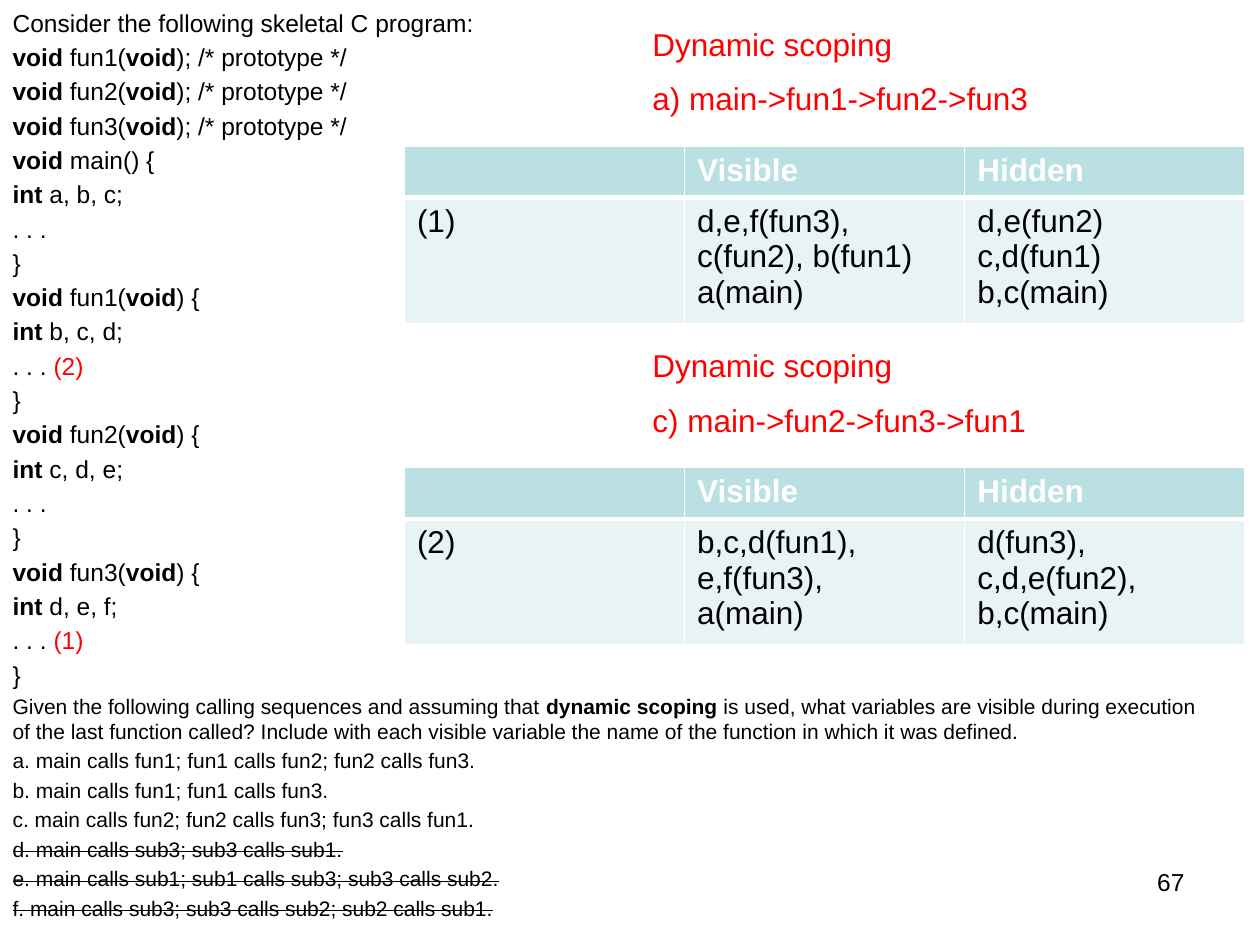
"""Build the slide on dynamic scoping in a skeletal C program."""
from dataclasses import dataclass
from typing import NamedTuple

from lxml.etree import SubElement
from pptx import Presentation
from pptx.dml.color import RGBColor
from pptx.enum.text import MSO_AUTO_SIZE as AutoSize, MSO_ANCHOR as Anchor, PP_ALIGN as Align
from pptx.oxml.ns import qn
from pptx.util import Inches, Pt

BLACK, RED, WHITE = "000000", "FF0000", "FFFFFF"
HEADER_FILL, BODY_FILL = "BBE0E3", "E7F3F4"
CODE_SIZE, QUESTION_SIZE, ANSWER_SIZE = 14, 12, 18
ANSWER_TOP, ANSWER_STEP = 0.15, 2.55
CAPTION_LEFT, CAPTION_STEP, TABLE_OFFSET = 5.08, 0.43, 1.01
TABLE_LEFT, TABLE_WIDTH, ROW_HEIGHTS = 3.21, 6.67, (0.41, 1.0)


class Span(NamedTuple):
    text: str
    bold: bool = False
    color: str = BLACK
    strike: bool = False


@dataclass
class Answer:
    call_chain: str
    label: str
    visible: str
    hidden: str


@dataclass
class Function:
    signature: list[Span]
    variables: str
    mark: str = ""

    def lines(self) -> list[list[Span]]:
        """Return the source lines of the function."""
        dots = [Span(". . ."), Span(f" {self.mark}", color=RED)] if self.mark else [Span(". . .")]
        return [self.signature + [Span(" {")], [Span("int ", True), Span(self.variables)],
                dots, [Span("}")]]


def signature(name: str) -> list[Span]:
    """Return the spans of a function signature without arguments."""
    return [Span("void ", True), Span(f"{name}("), Span("void", True), Span(")")]


FUNCTIONS = [
    Function([Span("void ", True), Span("main()")], "a, b, c;"),
    Function(signature("fun1"), "b, c, d;", "(2)"),
    Function(signature("fun2"), "c, d, e;"),
    Function(signature("fun3"), "d, e, f;", "(1)"),
]
CODE = [
    [Span("Consider the following skeletal C program:")],
    *[signature(name) + [Span("; /* prototype */")] for name in ("fun1", "fun2", "fun3")],
    *[line for function in FUNCTIONS for line in function.lines()],
]
QUESTION = [
    [Span("Given the following calling sequences and assuming that "),
     Span("dynamic scoping", True),
     Span(" is used, what variables are visible during execution of the last function called? "
          "Include with each visible variable the name of the function in which it was defined.")],
    [Span("a. main calls fun1; fun1 calls fun2; fun2 calls fun3.")],
    [Span("b. main calls fun1; fun1 calls fun3.")],
    [Span("c. main calls fun2; fun2 calls fun3; fun3 calls fun1.")],
    [Span("d. main calls sub3; sub3 calls sub1.", strike=True)],
    [Span("e. main calls sub1; sub1 calls sub3; sub3 calls sub2.", strike=True)],
    [Span("f. main calls sub3; sub3 calls sub2; sub2 calls sub1.", strike=True)],
]
ANSWERS = [
    Answer("a) main->fun1->fun2->fun3", "(1)", "d,e,f(fun3), c(fun2), b(fun1)\na(main)",
           "d,e(fun2)\nc,d(fun1)\nb,c(main)"),
    Answer("c) main->fun2->fun3->fun1", "(2)", "b,c,d(fun1),\ne,f(fun3),\na(main)",
           "d(fun3),\nc,d,e(fun2),\nb,c(main)"),
]


def rgb(color: str) -> RGBColor:
    """Turn a hex string into a colour."""
    return RGBColor.from_string(color)


def write(paragraph, text: str, *, size: float, color: str = BLACK, bold: bool = False,
          strike: bool = False) -> None:
    """Add formatted text to a paragraph, with a line break at each newline."""
    for index, line in enumerate(text.split("\n")):
        if index:
            paragraph.add_line_break()
        run = paragraph.add_run()
        run.text = line
        run.font.name, run.font.size, run.font.bold = "Arial", Pt(size), bold
        run.font.color.rgb = rgb(color)
        if strike:
            run._r.get_or_add_rPr().set("strike", "sngStrike")


def place(shape, left: float, top: float, width: float, height: float) -> None:
    """Set the place and size of a shape in inches."""
    shape.left, shape.top = Inches(left), Inches(top)
    shape.width, shape.height = Inches(width), Inches(height)


def fill_body(body) -> None:
    """Write the program and the question into the body placeholder."""
    place(body, 0, 0.01, 9.75, 7.57)
    frame = body.text_frame
    frame.auto_size, frame.vertical_anchor = AutoSize.NONE, Anchor.TOP
    lines = [(CODE_SIZE, line) for line in CODE] + [(QUESTION_SIZE, line) for line in QUESTION]
    for index, (size, spans) in enumerate(lines):
        paragraph = frame.add_paragraph() if index else frame.paragraphs[0]
        properties = paragraph._p.get_or_add_pPr()
        properties.set("marL", "0")
        properties.set("indent", "0")
        SubElement(properties, qn("a:buNone"))
        paragraph.line_spacing = 1.0
        paragraph.space_before = Pt(0.2 * size if index else 0)
        for span in spans:
            write(paragraph, span.text, size=size, color=span.color, bold=span.bold,
                  strike=span.strike)


def add_text(slide, text: str, box: tuple, *, size: float, color: str = BLACK,
             align=Align.LEFT, wrap: bool = False) -> None:
    """Add a text box with one paragraph."""
    frame = slide.shapes.add_textbox(*map(Inches, box)).text_frame
    frame.word_wrap = wrap
    frame.auto_size = AutoSize.NONE if wrap else AutoSize.SHAPE_TO_FIT_TEXT
    frame.paragraphs[0].alignment = align
    write(frame.paragraphs[0], text, size=size, color=color)


def style_cell(cell, fill: str, widths: dict[str, float]) -> None:
    """Give a cell white borders of the given widths and a fill."""
    properties = cell._tc.get_or_add_tcPr()
    for side, width in widths.items():
        line = SubElement(properties, qn(f"a:ln{side}"), w=str(Pt(width)))
        SubElement(SubElement(line, qn("a:solidFill")), qn("a:srgbClr"), val=WHITE)
    cell.fill.solid()
    cell.fill.fore_color.rgb = rgb(fill)


def add_answer(slide, answer: Answer, top: float) -> None:
    """Add the captions and the table of one answer."""
    for index, text in enumerate(("Dynamic scoping", answer.call_chain)):
        box = (CAPTION_LEFT, top + index * CAPTION_STEP, 3.2 if index else 2.12, 0.4)
        add_text(slide, text, box, size=ANSWER_SIZE, color=RED)
    rows = [("", "Visible", "Hidden"), (answer.label, answer.visible, answer.hidden)]
    table = slide.shapes.add_table(
        len(rows), len(rows[0]), Inches(TABLE_LEFT), Inches(top + TABLE_OFFSET),
        Inches(TABLE_WIDTH), Inches(sum(ROW_HEIGHTS))).table
    for row, texts in enumerate(rows):
        header = row == 0
        table.rows[row].height = Inches(ROW_HEIGHTS[row])
        widths = {"L": 1, "R": 1, "T": 1 if header else 3, "B": 3 if header else 1}
        for column, text in enumerate(texts):
            cell = table.cell(row, column)
            style_cell(cell, HEADER_FILL if header else BODY_FILL, widths)
            write(cell.text_frame.paragraphs[0], text, size=ANSWER_SIZE,
                  color=WHITE if header else BLACK, bold=header)


def main() -> None:
    """Build and save the presentation."""
    presentation = Presentation()
    presentation.slide_width, presentation.slide_height = Inches(10), Inches(7.5)
    slide = presentation.slides.add_slide(presentation.slide_layouts[1])
    title, body = slide.placeholders
    title._element.getparent().remove(title._element)
    fill_body(body)
    add_text(slide, "67", (7.17, 6.83, 2.33, 0.52), size=CODE_SIZE, align=Align.RIGHT, wrap=True)
    for index, answer in enumerate(ANSWERS):
        add_answer(slide, answer, ANSWER_TOP + index * ANSWER_STEP)
    presentation.save("out.pptx")


if __name__ == "__main__":
    main()
